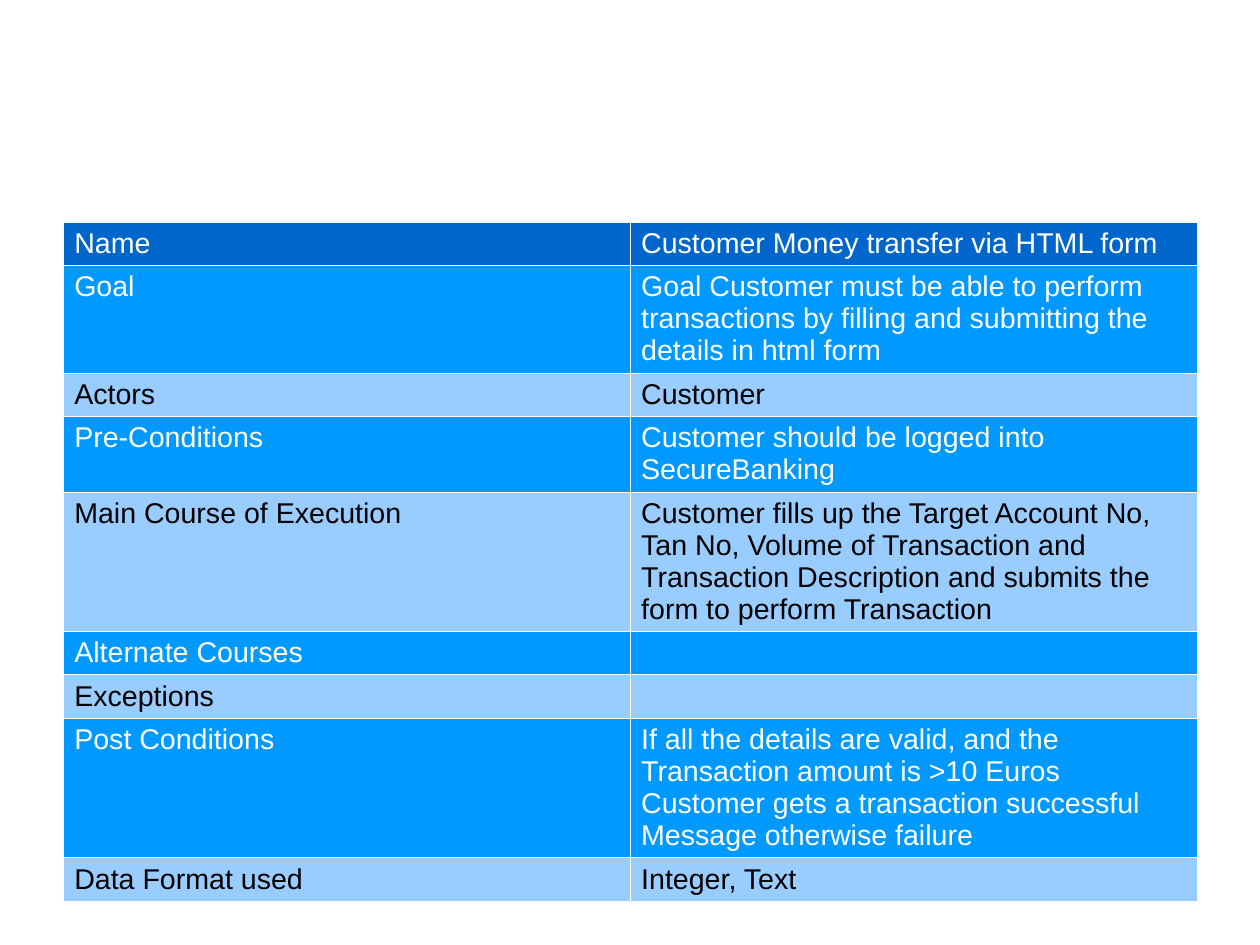
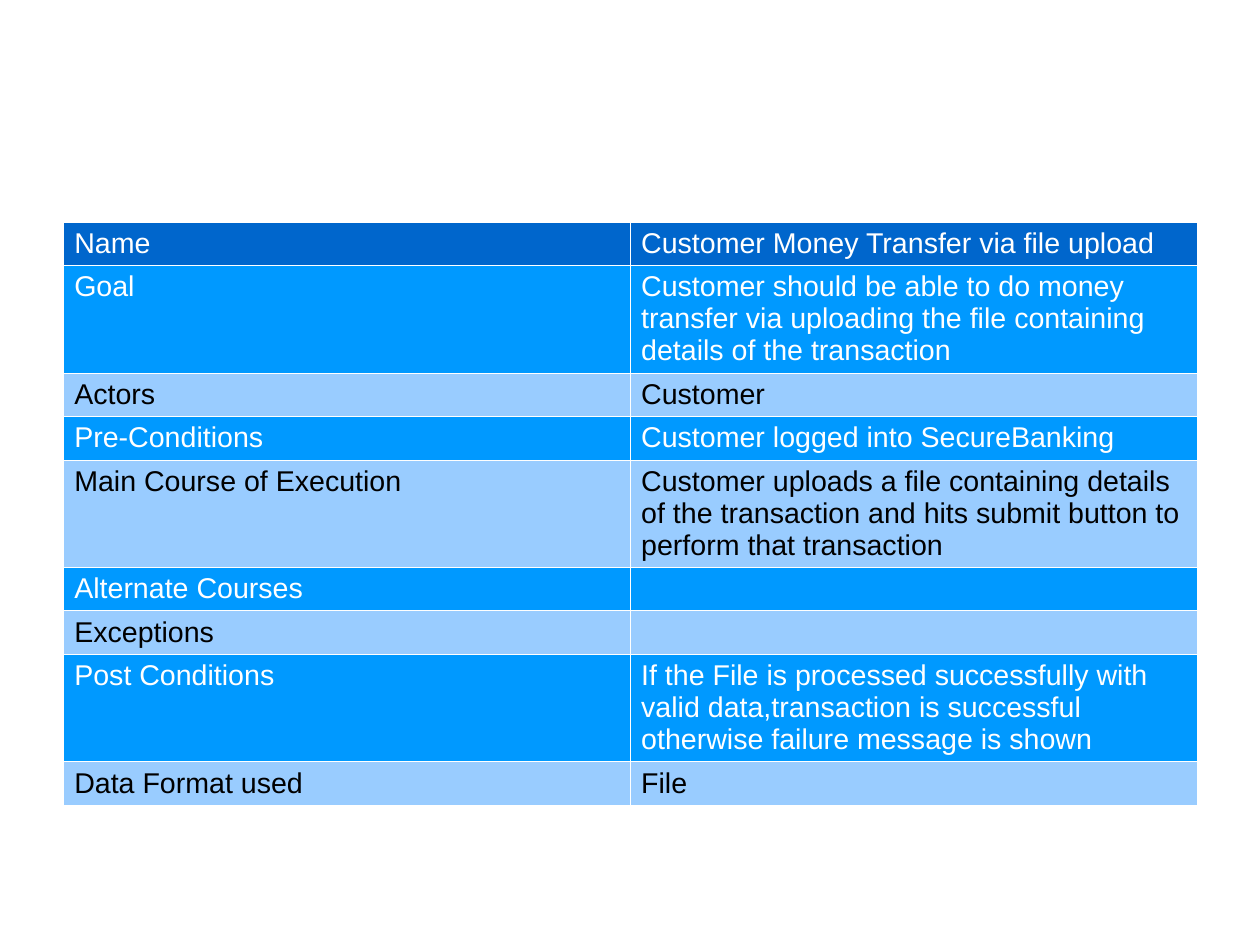
from lxml import etree
from pptx import Presentation
from pptx.dml.color import RGBColor
from pptx.oxml.ns import qn
from pptx.util import Inches, Pt

WHITE = RGBColor(0xFF, 0xFF, 0xFF)
BLACK = RGBColor(0x00, 0x00, 0x00)
HEADER_BLUE = RGBColor(0x00, 0x66, 0xCC)
STRONG_BLUE = RGBColor(0x00, 0x99, 0xFF)
LIGHT_BLUE = RGBColor(0x99, 0xCC, 0xFF)

FONT = "Arial"
TEXT_SIZE = Pt(18)
BORDER_WIDTH = Pt(0.06)
BORDER_SIDES = ("a:lnL", "a:lnR", "a:lnT", "a:lnB")
CM_PER_INCH = 2.54
PAGE_WIDTH = Inches(28 / CM_PER_INCH)
PAGE_HEIGHT = Inches(21 / CM_PER_INCH)
FIRST_LINE_HEIGHT = 0.38
NEXT_LINE_HEIGHT = 0.28
TABLE_BOX = (0.55, 1.94, 9.92)

FIELDS = (
    "Name", "Goal", "Actors", "Pre-Conditions", "Main Course of Execution",
    "Alternate Courses", "Exceptions", "Post Conditions", "Data Format used",
)

FORM_TRANSFER = (
    ("Customer Money transfer via HTML form", 1),
    ("Goal Customer must be able to perform transactions by filling and "
     "submitting the details in html form", 3),
    ("Customer", 1),
    ("Customer should be logged into SecureBanking", 2),
    ("Customer fills up the Target Account No, Tan No, Volume of Transaction "
     "and Transaction Description and submits the form to perform Transaction", 4),
    ("", 1),
    ("", 1),
    ("If all the details are valid, and the Transaction amount is >10 Euros "
     "Customer gets a transaction successful Message otherwise failure", 4),
    ("Integer, Text", 1),
)
FILE_TRANSFER = (
    ("Customer Money Transfer via file upload", 1),
    ("Customer should be able to do money transfer via uploading the file "
     "containing details of the transaction", 3),
    ("Customer", 1),
    ("Customer logged into SecureBanking", 1),
    ("Customer uploads a file containing details of the transaction and hits "
     "submit button to perform that transaction", 3),
    ("", 1),
    ("", 1),
    ("If the File is processed successfully with valid data,transaction is "
     "successful otherwise failure message is shown", 3),
    ("File", 1),
)


def row_colors(index):
    """Return the fill and text colours of a table row."""
    if index == 0:
        return HEADER_BLUE, WHITE
    return (STRONG_BLUE, WHITE) if index % 2 else (LIGHT_BLUE, BLACK)


def add_borders(cell):
    """Draw a white hairline on every side of a cell."""
    properties = cell._tc.get_or_add_tcPr()
    for side in BORDER_SIDES:
        line = etree.SubElement(properties, qn(side), w=str(int(BORDER_WIDTH)))
        fill = etree.SubElement(line, qn("a:solidFill"))
        etree.SubElement(fill, qn("a:srgbClr"), val=str(WHITE))


def fill_cell(cell, text, fill_color, text_color):
    """Set the borders, fill, margins and text of a cell."""
    add_borders(cell)
    cell.fill.solid()
    cell.fill.fore_color.rgb = fill_color
    cell.margin_left = cell.margin_right = Inches(0.1)
    cell.margin_top = cell.margin_bottom = Inches(0.05)
    para = cell.text_frame.paragraphs[0]
    if text:
        span = para.add_run()
        span.text = text
        span.font.name = FONT
        span.font.size = TEXT_SIZE
        span.font.color.rgb = text_color
    else:
        ending = etree.SubElement(para._p, qn("a:endParaRPr"), sz="1800")
        etree.SubElement(ending, qn("a:latin"), typeface=FONT)


def add_use_case_table(page, box, entries):
    """Place a table of texts and line counts at the left, top and width of a box."""
    left, top, width = box
    heights = [FIRST_LINE_HEIGHT + NEXT_LINE_HEIGHT * (lines - 1)
               for _, lines in entries]
    table = page.shapes.add_table(
        len(entries), 2, Inches(left), Inches(top),
        Inches(width), Inches(sum(heights))).table
    for column in table.columns:
        column.width = Inches(width / 2)
    for index, (field, (text, _)) in enumerate(zip(FIELDS, entries)):
        table.rows[index].height = Inches(heights[index])
        for column_index, content in enumerate((field, text)):
            fill_cell(table.cell(index, column_index), content, *row_colors(index))


def main():
    """Build and save the deck."""
    deck = Presentation()
    deck.slide_width = PAGE_WIDTH
    deck.slide_height = PAGE_HEIGHT
    for entries in (FORM_TRANSFER, FILE_TRANSFER):
        page = deck.slides.add_slide(deck.slide_layouts[6])
        add_use_case_table(page, TABLE_BOX, entries)
    deck.save("out.pptx")


if __name__ == "__main__":
    main()
